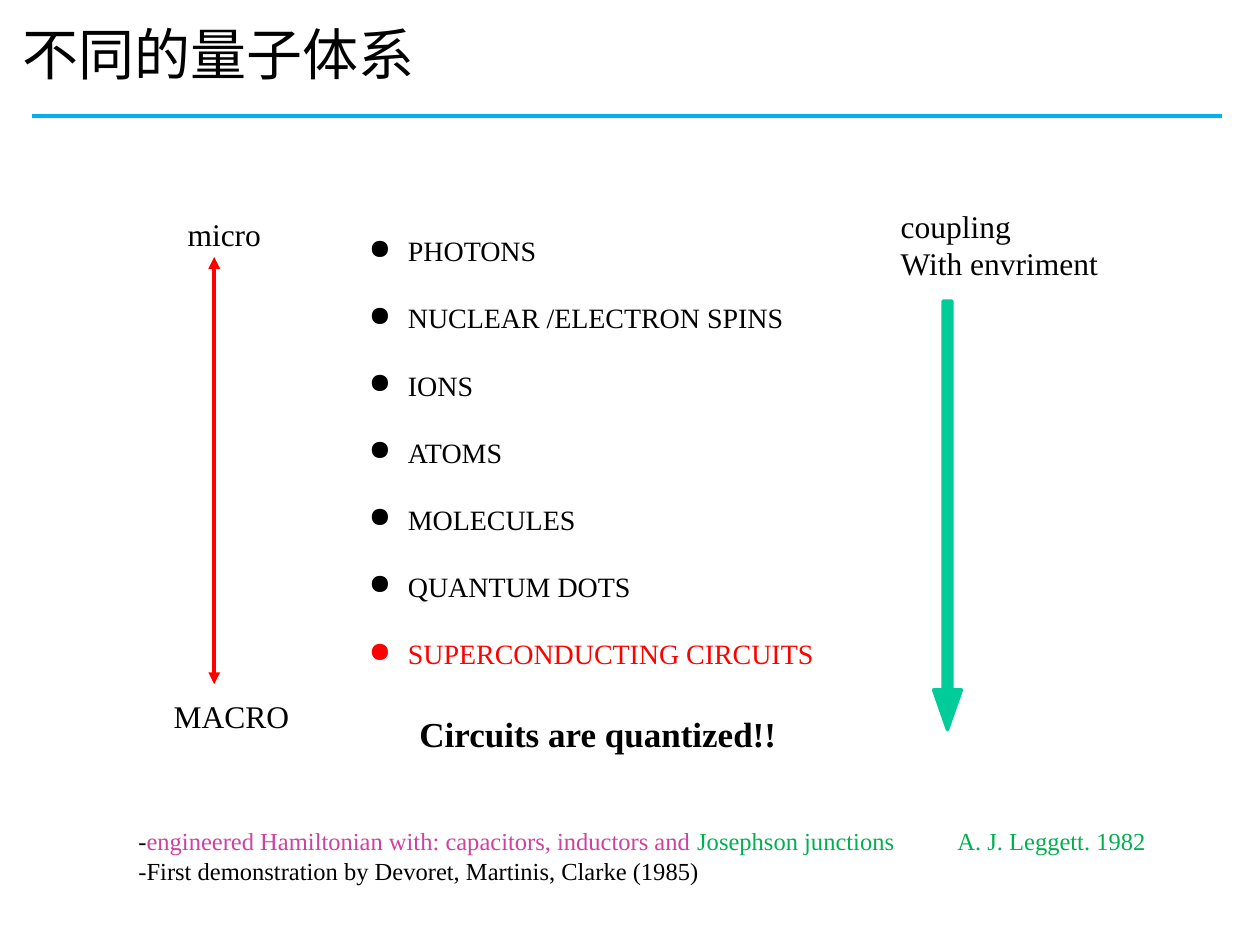
from dataclasses import dataclass

from lxml.etree import SubElement
from pptx import Presentation
from pptx.dml.color import RGBColor
from pptx.enum.shapes import MSO_CONNECTOR as Connector, MSO_SHAPE as Shape
from pptx.enum.text import MSO_AUTO_SIZE as AutoSize
from pptx.oxml.ns import qn
from pptx.util import Inches, Pt

SERIF = "Times New Roman"
SANS = "Noto Sans CJK SC"
BLACK, RED, GREEN, PINK = "000000", "FF0000", "00B050", "CF40A0"
TEAL, SKY = "00CC99", "00B0F0"
HANGING = 0.31


@dataclass(frozen=True)
class Span:
    text: str
    size: float
    color: str = BLACK
    bold: bool = False
    font: str = SERIF


@dataclass(frozen=True)
class Para:
    spans: tuple[Span, ...]
    margin: float = 0
    indent: float = 0
    spacing: float = 1
    bullet: str = ""
    tab: float = 0


@dataclass(frozen=True)
class TextBox:
    left: float
    top: float
    width: float
    height: float
    paras: tuple[Para, ...]
    wrap: bool = False


@dataclass(frozen=True)
class Line:
    start: tuple[float, float]
    end: tuple[float, float]
    color: str
    weight: float
    arrows: bool = False


def rgb(color: str) -> RGBColor:
    return RGBColor.from_string(color)


def add_span(paragraph, span: Span) -> None:
    run = paragraph.add_run()
    run.text = span.text
    font = run.font
    font.size, font.bold, font.name = Pt(span.size), span.bold, span.font
    font.color.rgb = rgb(span.color)
    SubElement(run._r.get_or_add_rPr(), qn("a:ea"), typeface=span.font)


def format_para(paragraph, para: Para) -> None:
    properties = paragraph._p.get_or_add_pPr()
    properties.set("marL", str(Inches(para.margin)))
    properties.set("indent", str(Inches(para.indent)))
    if para.bullet:
        SubElement(properties, qn("a:buChar"), char=para.bullet)
    if para.tab:
        tabs = SubElement(properties, qn("a:tabLst"))
        SubElement(tabs, qn("a:tab"), pos=str(Inches(para.tab)), algn="l")
    paragraph.line_spacing = para.spacing


def add_text(page, item: TextBox) -> None:
    box = page.shapes.add_textbox(
        Inches(item.left), Inches(item.top), Inches(item.width), Inches(item.height)
    )
    frame = box.text_frame
    frame.word_wrap = item.wrap
    frame.auto_size = AutoSize.SHAPE_TO_FIT_TEXT
    for index, para in enumerate(item.paras):
        paragraph = frame.add_paragraph() if index else frame.paragraphs[0]
        format_para(paragraph, para)
        for span in para.spans:
            add_span(paragraph, span)


def add_line(page, item: Line) -> None:
    connector = page.shapes.add_connector(
        Connector.STRAIGHT, *map(Inches, item.start + item.end)
    )
    connector.line.color.rgb = rgb(item.color)
    connector.line.width = Pt(item.weight)
    if item.arrows:
        for end in ("a:headEnd", "a:tailEnd"):
            SubElement(connector.line._get_or_add_ln(), qn(end), type="triangle")
    SubElement(connector._element.spPr, qn("a:effectLst"))


def add_coupling_arrow(page) -> None:
    arrow = page.shapes.add_shape(
        Shape.DOWN_ARROW, Inches(7.41), Inches(2.39), Inches(0.22), Inches(3.4)
    )
    arrow.adjustments[0], arrow.adjustments[1] = 0.32, 1.43
    arrow.shadow.inherit = False
    arrow.fill.solid()
    arrow.fill.fore_color.rgb = rgb(TEAL)
    arrow.line.color.rgb = rgb(TEAL)
    arrow.line.width = Pt(2)


def system(name: str, color: str = BLACK) -> Para:
    return Para((Span(name, 16, color),), HANGING, -HANGING, 2, "●")


def label(text: str) -> Para:
    return Para((Span(text, 18),))


SYSTEMS = ("PHOTONS", "NUCLEAR /ELECTRON SPINS", "IONS", "ATOMS", "MOLECULES", "QUANTUM DOTS")
CONCLUSION = Para((Span("Circuits are quantized!!", 20, bold=True),), margin=0.4, spacing=2)
HAMILTONIAN = Para(
    (
        Span("-", 14),
        Span("engineered Hamiltonian with: capacitors, inductors and ", 14, PINK),
        Span("Josephson junctions\tA. J. Leggett. 1982", 14, GREEN),
    ),
    tab=6.53,
)
DEMONSTRATION = Para((Span("-First demonstration by Devoret, Martinis, Clarke (1985)", 14),))
TITLE = Para((Span("不同的量子体系", 32, font=SANS),), HANGING, -HANGING)

TEXTS = (
    TextBox(
        2.83, 1.54, 4.4, 4.54,
        (*map(system, SYSTEMS), system("SUPERCONDUCTING CIRCUITS", RED), CONCLUSION),
        wrap=True,
    ),
    TextBox(1, 6.51, 8.29, 0.57, (HAMILTONIAN, DEMONSTRATION), wrap=True),
    TextBox(1.39, 1.66, 0.79, 0.4, (label("micro"),)),
    TextBox(1.28, 5.48, 1.13, 0.4, (label("MACRO"),)),
    TextBox(7.05, 1.59, 1.78, 0.71, (label("coupling"), label("With envriment"))),
    TextBox(0.08, 0.11, 3.34, 0.64, (TITLE,)),
)
LINES = (
    Line((1.7, 2.04), (1.7, 5.43), RED, 2.25, arrows=True),
    Line((0.25, 0.92), (9.7, 0.92), SKY, 2.5),
)


def main() -> None:
    deck = Presentation()
    deck.slide_width, deck.slide_height = Inches(10), Inches(7.5)
    page = deck.slides.add_slide(deck.slide_layouts[6])
    for text in TEXTS:
        add_text(page, text)
    for line in LINES:
        add_line(page, line)
    add_coupling_arrow(page)
    deck.save("out.pptx")


if __name__ == "__main__":
    main()
